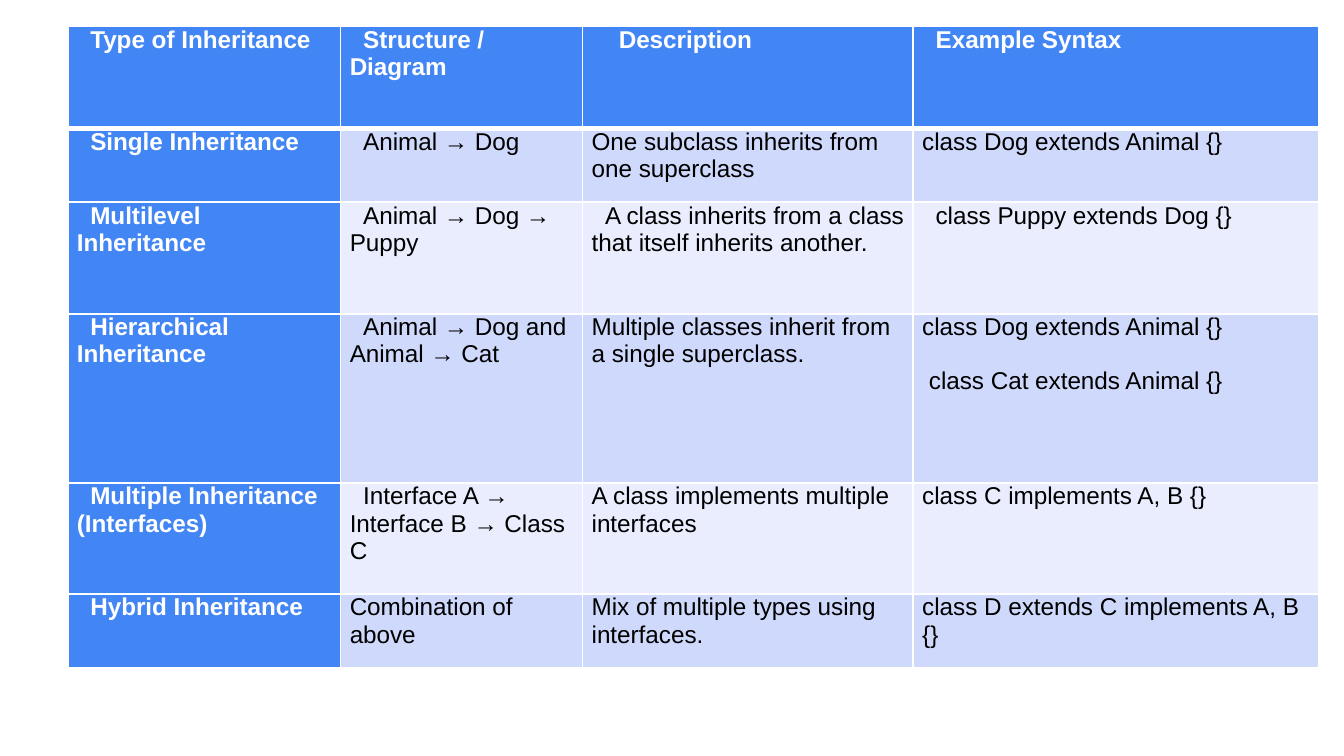
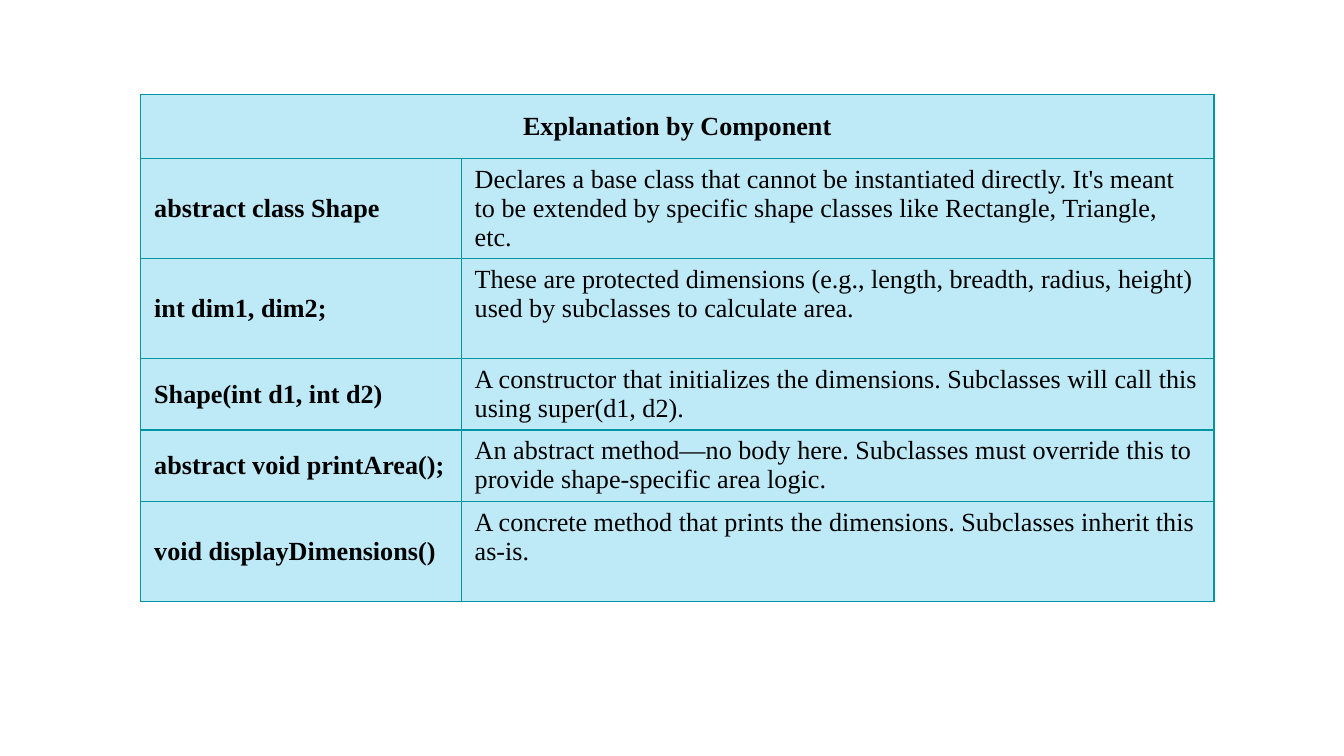
from collections import namedtuple

from lxml import etree
from pptx import Presentation
from pptx.dml.color import RGBColor
from pptx.enum.text import MSO_ANCHOR, PP_ALIGN
from pptx.oxml.ns import qn
from pptx.util import Pt

TOP, MIDDLE = MSO_ANCHOR.TOP, MSO_ANCHOR.MIDDLE
LEFT, CENTER = PP_ALIGN.LEFT, PP_ALIGN.CENTER
BLANK_LAYOUT = 6

COLORS = {
    "white": "FFFFFF",
    "black": "000000",
    "blue": "4285F4",
    "band dark": "CFD9FB",
    "band light": "E9EDFD",
    "aqua": "BEE9F7",
    "teal": "0094A3",
}

# A line of cell text: first-line indent and space before, in points
Line = namedtuple("Line", "text indent before", defaults=(0, 0))


def indented(text, indent=7.2):
    return Line(text, indent)


class Deck:
    """Holds the presentation, the current slide and the shared style."""

    def __init__(self, width, height):
        self.presentation = Presentation()
        self.presentation.slide_width = Pt(width)
        self.presentation.slide_height = Pt(height)
        self.slide = None

    def add_slide(self):
        layout = self.presentation.slide_layouts[BLANK_LAYOUT]
        self.slide = self.presentation.slides.add_slide(layout)

    def table(self, left, top, widths, heights):
        table = self.slide.shapes.add_table(
            len(heights), len(widths), Pt(left), Pt(top),
            Pt(sum(widths)), Pt(sum(heights))).table
        table.first_row = table.horz_banding = False
        for column, width in zip(table.columns, widths):
            column.width = Pt(width)
        for row, height in zip(table.rows, heights):
            row.height = Pt(height)
        return table

    def borders(self, cell, color, widths):
        """Draw the left, right, top and bottom borders of a cell."""
        properties = cell._tc.get_or_add_tcPr()
        for side, width in zip("LRTB", widths):
            line = etree.SubElement(properties, qn(f"a:ln{side}"), w=str(Pt(width)))
            fill = etree.SubElement(line, qn("a:solidFill"))
            etree.SubElement(fill, qn("a:srgbClr"), val=COLORS[color])

    def fill(self, cell, color):
        cell.fill.solid()
        cell.fill.fore_color.rgb = RGBColor.from_string(COLORS[color])

    def text(self, cell, content, color, font, cell_format, align=LEFT):
        """Write a string, a Line or a list of Lines into a cell."""
        for name, value in cell_format.items():
            setattr(cell, name, value)
        if isinstance(content, str):
            content = Line(content)
        lines = [content] if isinstance(content, Line) else content
        frame = cell.text_frame
        for index, line in enumerate(lines):
            paragraph = frame.add_paragraph() if index else frame.paragraphs[0]
            paragraph.alignment = align
            paragraph.space_before = Pt(line.before)
            paragraph._p.get_or_add_pPr().set("indent", str(Pt(line.indent)))
            run = paragraph.add_run()
            run.text = line.text
            for name, value in font.items():
                setattr(run.font, name, value)
            run.font.color.rgb = RGBColor.from_string(COLORS[color])


def inheritance_slide(deck):
    rows = [
        [indented("Type of Inheritance"), indented("Structure / Diagram"),
         indented("Description", 14.5), indented("Example Syntax")],
        [indented("Single Inheritance"), indented("Animal → Dog"),
         "One subclass inherits from one superclass",
         "class Dog extends Animal {}"],
        [indented("Multilevel Inheritance"), indented("Animal → Dog → Puppy"),
         indented("A class inherits from a class that itself inherits another."),
         indented("class Puppy extends Dog {}")],
        [indented("Hierarchical Inheritance"),
         indented("Animal → Dog and Animal → Cat"),
         "Multiple classes inherit from a single superclass.",
         [Line("class Dog extends Animal {}"),
          Line("class Cat extends Animal {}", indent=3.6, before=14.5)]],
        [indented("Multiple Inheritance (Interfaces)"),
         indented("Interface A → Interface B → Class C"),
         "A class implements multiple interfaces",
         "class C implements A, B {}"],
        [indented("Hybrid Inheritance"), "Combination of above",
         "Mix of multiple types using interfaces.",
         "class D extends C implements A, B {}"],
    ]
    cell_format = {"margin_left": Pt(4.9), "margin_right": Pt(4.9),
                   "margin_top": 0, "margin_bottom": 0, "vertical_anchor": TOP}

    deck.add_slide()
    table = deck.table(36.3, 14, [146.2, 129.6, 177.1, 217.4],
                       [54.7, 39.6, 59.8, 90.7, 59.5, 39.6])
    for r, row in enumerate(rows):
        for c, content in enumerate(row):
            cell = table.cell(r, c)
            heading = r == 0 or c == 0
            band = "band dark" if r % 2 else "band light"
            # A thick rule parts the header from the body
            deck.borders(cell, "white", [1, 1, 3 if r == 1 else 1, 3 if r == 0 else 1])
            deck.fill(cell, "blue" if heading else band)
            font = {"name": "Arial", "size": Pt(13), "bold": heading}
            deck.text(cell, content, "white" if heading else "black", font, cell_format)


def component_slide(deck):
    components = [
        ("abstract class Shape",
         "Declares a base class that cannot be instantiated directly. It's meant "
         "to be extended by specific shape classes like Rectangle, Triangle, etc."),
        ("int dim1, dim2;",
         "These are protected dimensions (e.g., length, breadth, radius, height) "
         "used by subclasses to calculate area."),
        ("Shape(int d1, int d2)",
         "A constructor that initializes the dimensions. Subclasses will call this "
         "using super(d1, d2)."),
        ("abstract void printArea();",
         "An abstract method—no body here. Subclasses must override this to "
         "provide shape-specific area logic."),
        ("void displayDimensions()",
         "A concrete method that prints the dimensions. Subclasses inherit this as-is."),
    ]

    deck.add_slide()
    table = deck.table(75.4, 50.8, [171.7, 403.3],
                       [34, 53.7, 53.7, 38.2, 38.2, 53.7])
    for cell in table.iter_cells():
        deck.borders(cell, "teal", [0.75] * 4)
        deck.fill(cell, "aqua")
    bold = {"name": "Times New Roman", "size": Pt(14), "bold": True}
    regular = {**bold, "bold": False}

    # Title row across both columns
    title = table.cell(0, 0)
    title.merge(table.cell(0, 1))
    deck.text(title, "Explanation by Component", "black", bold,
              {"vertical_anchor": MIDDLE}, CENTER)

    for r, (code, explanation) in enumerate(components, start=1):
        deck.text(table.cell(r, 0), code, "black", bold, {"vertical_anchor": MIDDLE})
        deck.text(table.cell(r, 1), explanation, "black", regular,
                  {"vertical_anchor": TOP})


def main():
    deck = Deck(720, 405)
    inheritance_slide(deck)
    component_slide(deck)
    deck.presentation.save("out.pptx")


if __name__ == "__main__":
    main()
